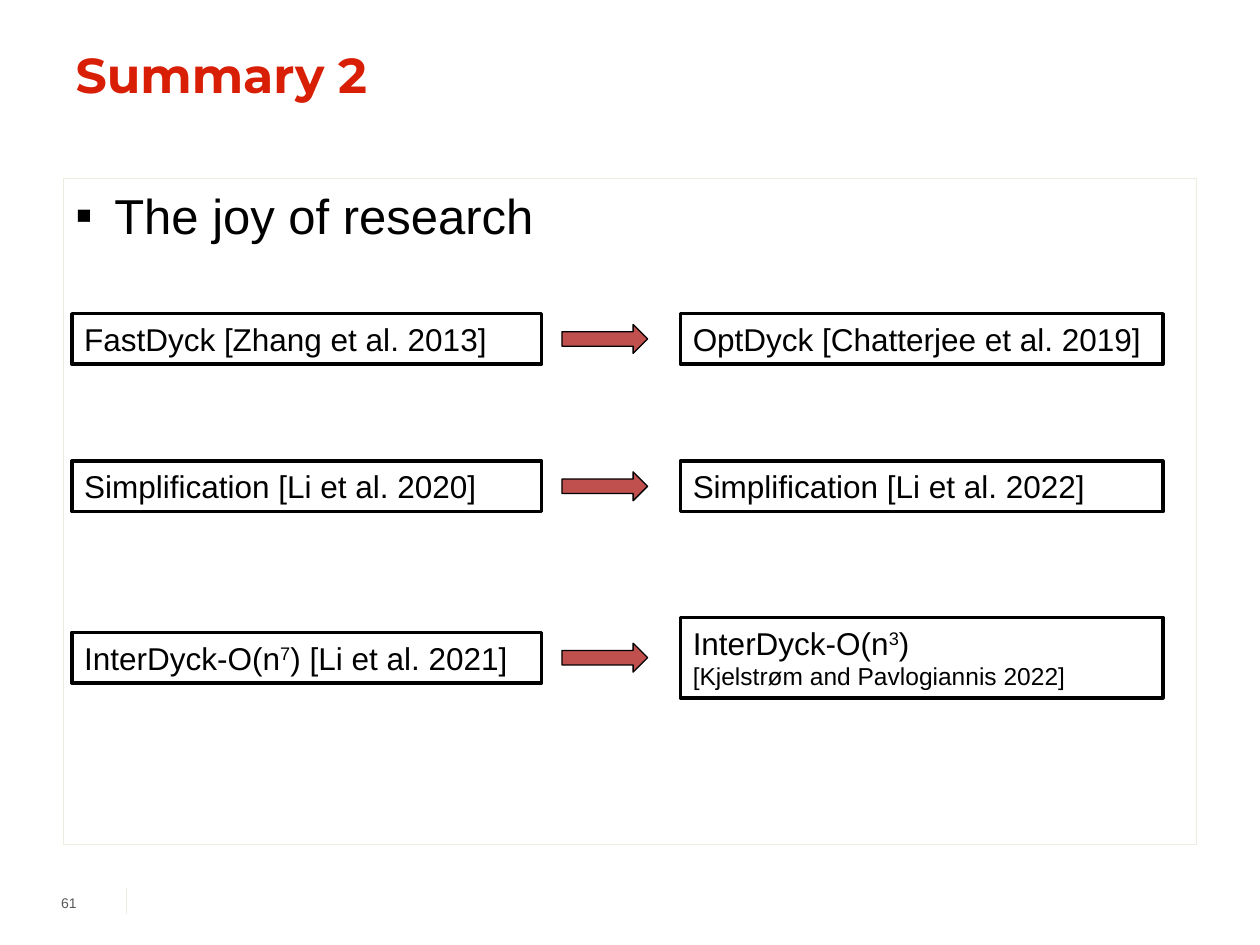
from lxml import etree
from pptx import Presentation
from pptx.dml.color import RGBColor
from pptx.enum.shapes import MSO_CONNECTOR, MSO_SHAPE
from pptx.enum.text import MSO_ANCHOR, MSO_AUTO_SIZE, PP_ALIGN
from pptx.oxml.ns import qn
from pptx.util import Inches, Pt

RECTANGLE, ARROW = MSO_SHAPE.RECTANGLE, MSO_SHAPE.RIGHT_ARROW
STRAIGHT = MSO_CONNECTOR.STRAIGHT
TOP, MIDDLE = MSO_ANCHOR.TOP, MSO_ANCHOR.MIDDLE
LEFT, RIGHT = PP_ALIGN.LEFT, PP_ALIGN.RIGHT
NO_FIT = MSO_AUTO_SIZE.NONE
GROW = MSO_AUTO_SIZE.SHAPE_TO_FIT_TEXT
CELL = 0.1


def colour(value):
    return RGBColor.from_string(value)


def grid(*cells):
    return [Inches(cell * CELL) for cell in cells]


def apply(target, values):
    for name, value in values.items():
        setattr(target, name, value)


class SlideBuilder:
    red, black, grey, pale, white, brick = (
        "D81E05", "000000", "595959", "EEECE1", "FFFFFF", "C0504D")

    def __init__(self, presentation):
        self.slide = presentation.slides.add_slide(presentation.slide_layouts[5])

    def frame(self, shape, anchor=TOP, fit=NO_FIT, **margins):
        apply(shape.text_frame, {"word_wrap": True, "vertical_anchor": anchor,
                                 "auto_size": fit, **margins})
        return shape.text_frame.paragraphs[0]

    def run(self, paragraph, text, size, shade, name="Arial", bold=False, raised=False):
        run = paragraph.add_run()
        run.text = text
        apply(run.font, {"size": Pt(size), "name": name, "bold": bold})
        run.font.color.rgb = colour(shade)
        if raised:
            run._r.get_or_add_rPr().set("baseline", "30000")

    def title(self, text, cells):
        shape = self.slide.shapes.title
        names = ("left", "top", "width", "height")
        apply(shape, dict(zip(names, grid(*cells))))
        paragraph = self.frame(shape)
        paragraph.alignment = LEFT
        self.run(paragraph, text, 28, self.red, "Montserrat", True)

    def shape(self, kind, cells, fill, line, width):
        shape = self.slide.shapes.add_shape(kind, *grid(*cells))
        shape.shadow.inherit = False
        if fill:
            shape.fill.solid()
            shape.fill.fore_color.rgb = colour(fill)
        else:
            shape.fill.background()
        shape.line.color.rgb = colour(line)
        shape.line.width = Pt(width)
        return shape

    def bullet_panel(self, text, cells):
        shape = self.shape(RECTANGLE, cells, None, self.pale, 0.5)
        paragraph = self.frame(shape)
        paragraph.alignment = LEFT
        properties = paragraph._p.get_or_add_pPr()
        indent = Inches(0.31)
        properties.set("marL", str(indent))
        properties.set("indent", str(-indent))
        etree.SubElement(properties, qn("a:buFont")).set("typeface", "Arial")
        etree.SubElement(properties, qn("a:buChar")).set("char", "▪")
        self.run(paragraph, text, 28, self.black)

    def box(self, left, middle, width, height, parts, citation=None):
        cells = (left, middle - height / 2, width, height)
        shape = self.shape(RECTANGLE, cells, self.white, self.black, 2)
        paragraph = self.frame(shape, fit=GROW)
        paragraph.alignment = LEFT
        for index, text in enumerate(parts):
            self.run(paragraph, text, 18, self.black, raised=index == 1)
        if citation:
            paragraph.add_line_break()
            self.run(paragraph, citation, 14, self.black)

    def arrow(self, left, middle, width, height):
        cells = (left, middle - height / 2, width, height)
        self.shape(ARROW, cells, self.brick, self.black, 0.75)

    def page_number(self, text, cells):
        shape = self.slide.shapes.add_textbox(*grid(*cells))
        paragraph = self.frame(shape, MIDDLE, margin_left=0, margin_right=Inches(0.05))
        paragraph.alignment = RIGHT
        self.run(paragraph, text, 8, self.grey)

    def line(self, *ends):
        connector = self.slide.shapes.add_connector(STRAIGHT, *grid(*ends))
        connector.line.color.rgb = colour(self.pale)
        connector.line.width = Pt(0.25)
        etree.SubElement(connector._element.spPr, qn("a:effectLst"))


def main():
    presentation = Presentation()
    presentation.slide_width, presentation.slide_height = grid(100, 75)
    builder = SlideBuilder(presentation)
    builder.line(10, 70.5, 10, 72.5)
    builder.title("Summary 2", (5, 3, 90, 9.5))
    builder.page_number("61", (3.3, 70, 3.3, 3.3))
    builder.bullet_panel("The joy of research", (5, 14.2, 90, 52.8))

    advances = [
        (26.9, ["FastDyck [Zhang et al. 2013]"],
         ["OptDyck [Chatterjee et al. 2019]"], None),
        (38.6, ["Simplification [Li et al. 2020]"],
         ["Simplification [Li et al. 2022]"], None),
        (52.2, ["InterDyck-O(n", "7", ") [Li et al. 2021]"],
         ["InterDyck-O(n", "3", ")"], "[Kjelstrøm and Pavlogiannis 2022]"),
    ]
    for middle, earlier, later, citation in advances:
        builder.box(5.7, middle, 37.3, 4, earlier)
        builder.arrow(44.6, middle, 6.8, 2.3)
        builder.box(54, middle, 38.3, 6.4 if citation else 4, later, citation)
    presentation.save("out.pptx")


if __name__ == "__main__":
    main()
